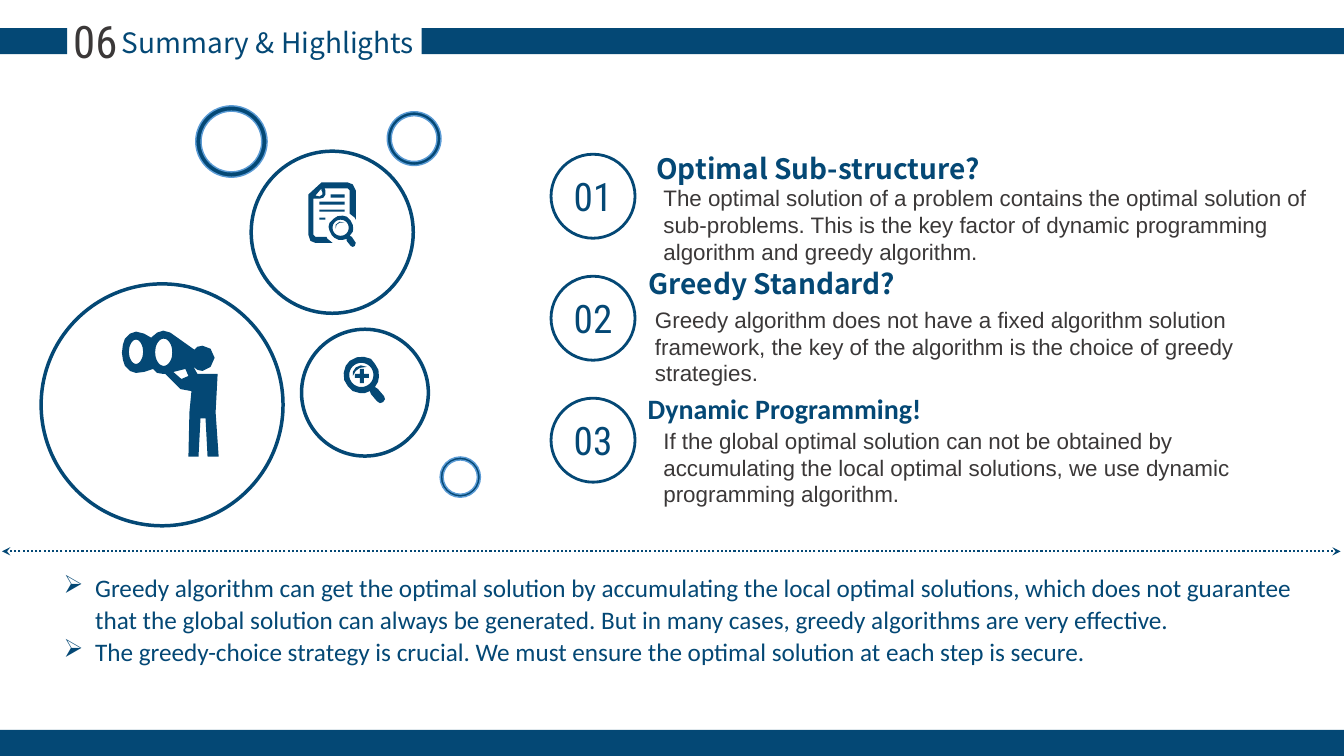
import dataclasses
import math

import pptx
import pptx.dml.color
import pptx.enum.dml
import pptx.enum.shapes
import pptx.enum.text
import pptx.oxml.ns
import pptx.shapes.autoshape
import pptx.slide
import pptx.util
from lxml import etree

COLUMNS, ROWS = 160, 90
CELL = pptx.util.Inches(7.5) // ROWS
NAVY, CHARCOAL, SKY = "044875", "3B3838", "5B9BD5"
CENTER = pptx.enum.text.PP_ALIGN.CENTER
LEFT = pptx.enum.text.PP_ALIGN.LEFT
PRESET = pptx.enum.shapes.MSO_SHAPE
Outline = list[tuple[float, float]]


@dataclasses.dataclass
class Box:
    column: float
    row: float
    columns: float
    rows: float

    def lengths(self) -> list[int]:
        return [round(value * CELL) for value in dataclasses.astuple(self)]


@dataclasses.dataclass
class Style:
    font: str
    size: float
    color: str = NAVY
    bold: bool = False
    align: pptx.enum.text.PP_ALIGN = LEFT
    spacing: float | None = None


@dataclasses.dataclass
class Topic:
    heading: str
    heading_box: Box
    heading_font: str
    body: str
    body_box: Box


@dataclasses.dataclass
class Icon:
    column: float
    row: float
    outlines: list[Outline]


def ellipse(x: float, y: float, radius_x: float, radius_y: float) -> Outline:
    angles = [math.tau * step / 32 for step in range(32)]
    return [(x + radius_x * math.cos(angle), y + radius_y * math.sin(angle)) for angle in angles]


def rectangle(left: float, top: float, right: float, bottom: float) -> Outline:
    return [(left, top), (right, top), (right, bottom), (left, bottom)]


WATCHER = Icon(14.52, 39.36, [
    [(41, 0), (35, 2), (29, 7), (22, 3), (14, 1), (8, 3), (3, 8), (1, 14), (0, 22), (1, 29), (3, 35),
     (8, 40), (14, 42), (22, 41), (31, 38), (35, 42), (41, 43), (43, 43), (58, 58), (69, 60), (67, 81),
     (66, 125), (76, 125), (78, 87), (83, 87), (85, 125), (96, 125), (93, 81), (95, 43), (75, 43),
     (71, 36), (75, 39), (80, 40), (88, 36), (92, 27), (88, 18), (80, 15), (75, 16), (72, 19), (48, 2)],
    [(66, 45), (59, 48), (51, 41), (63, 38)],
    ellipse(14, 21, 7, 12),
    ellipse(41.5, 21.5, 8.5, 13.5),
])
DOCUMENT = Icon(36.72, 21.72, [
    [(13, 0), (39, 0), (44, 2), (47, 8), (47, 37), (46, 35), (41, 31), (41, 8), (39, 6), (16, 6),
     (17, 8), (17, 12), (15, 15), (12, 16), (5, 16), (5, 52), (7, 54), (18, 54), (19, 56), (24, 60),
     (7, 60), (2, 58), (0, 52), (0, 12), (12, 1)],
    rectangle(11, 35, 17, 37),
    rectangle(11, 27, 36, 29),
    rectangle(11, 19, 36, 22),
    rectangle(22, 12, 36, 15),
    [(13, 6), (7, 13), (11, 14), (14, 12), (14, 10), (13, 8)],
    [(25, 36), (21, 40), (20, 44), (21, 48), (23, 52), (26, 55), (30, 57), (34, 57), (38, 56), (38, 58),
     (42, 63), (44, 64), (46, 63), (47, 60), (43, 54), (41, 53), (44, 49), (44.5, 46), (44, 42),
     (42, 38), (38, 34), (34, 33), (29, 33.5)],
    ellipse(32, 45, 8, 8),
    [(27, 46), (28, 42), (31, 40), (36, 40), (31, 39), (27, 42)],
])
ZOOM = Icon(40.8, 42.48, [
    [(7, 4), (14, 0.5), (21, 0), (28, 2), (32, 7), (35.5, 13), (36, 20), (35, 25), (32, 30), (35, 32),
     (41, 39), (42, 42), (40, 45), (37, 46), (34, 44), (28, 37), (27, 34), (22, 36), (17, 36),
     (10, 34), (5, 29), (1.5, 23), (1, 16), (3, 9)],
    ellipse(18.5, 18, 12, 12),
    [(17, 26), (21, 26), (21, 21), (26, 21), (26, 17), (21, 17), (21, 12), (17, 12), (17, 17),
     (12, 17), (12, 21), (17, 21)],
    [(10, 19), (13, 14), (17, 11), (24, 10), (18, 8.5), (13, 10.5), (10, 15)],
])
BARS = [Box(0, 3.36, 8, 3.1), Box(50.2, 3.36, 109.8, 3.1), Box(0, 86.88, COLUMNS, 3.12)]
RINGS = [Box(23.3, 12.6, 8.5, 8.5), Box(46.1, 13.3, 6.4, 6.4), Box(52.4, 54.4, 4.8, 4.8)]
BUBBLES = [Box(4.9, 33.8, 28.8, 28.8), Box(29.9, 18, 19.3, 19.3), Box(35.9, 39.2, 15.1, 15.1)]
TOPICS = [
    Topic("Optimal Sub-structure?", Box(75.1, 17.5, 44.6, 9.2), "Noto Sans CJK JP",
          "The optimal solution of a problem contains the optimal solution of sub-problems. "
          "This is the key factor of dynamic programming algorithm and greedy algorithm.",
          Box(77.8, 21.4, 79.4, 14)),
    Topic("Greedy Standard?", Box(69.6, 31.1, 44.6, 9.2), "Noto Sans CJK JP",
          "Greedy algorithm does not have a fixed algorithm solution framework, "
          "the key of the algorithm is the choice of greedy strategies.",
          Box(76.8, 35.9, 79.4, 14)),
    Topic("Dynamic Programming!", Box(73, 46, 40.8, 5.3), "Calibri",
          "If the global optimal solution can not be obtained by accumulating "
          "the local optimal solutions, we use dynamic programming algorithm.",
          Box(77.8, 50.3, 79.4, 10.8)),
]
CONCLUSIONS = [
    "Greedy algorithm can get the optimal solution by accumulating the local optimal solutions, which does not "
    "guarantee that the global solution can always be generated. But in many cases, greedy algorithms are very "
    "effective.",
    "The greedy-choice strategy is crucial. We must ensure the optimal solution at each step is secure.",
]


def rgb(color: str) -> pptx.dml.color.RGBColor:
    return pptx.dml.color.RGBColor.from_string(color)


def paint(shape: pptx.shapes.autoshape.Shape, fill: str | None, line: str | None = None, width: float = 1) -> None:
    shape.shadow.inherit = False
    if fill:
        shape.fill.solid()
        shape.fill.fore_color.rgb = rgb(fill)
    else:
        shape.fill.background()
    if line:
        shape.line.color.rgb = rgb(line)
        shape.line.width = pptx.util.Pt(width)
    else:
        shape.line.fill.background()


def add_text(slide: pptx.slide.Slide, box: Box, text: str, style: Style) -> pptx.shapes.autoshape.Shape:
    shape = slide.shapes.add_textbox(*box.lengths())
    shape.text_frame.word_wrap = True
    shape.text_frame.text = text
    for paragraph in shape.text_frame.paragraphs:
        paragraph.alignment = style.align
        if style.spacing:
            paragraph.line_spacing = pptx.util.Pt(style.spacing)
        font = paragraph.runs[0].font
        font.name, font.size, font.bold = style.font, pptx.util.Pt(style.size), style.bold
        font.color.rgb = rgb(style.color)
        properties = paragraph.runs[0].font._element
        etree.SubElement(properties, pptx.oxml.ns.qn("a:ea"), typeface=style.font)
    return shape


def add_icon(slide: pptx.slide.Slide, icon: Icon) -> None:
    step = 0.12 * CELL
    origin_x, origin_y = icon.column * CELL, icon.row * CELL
    outlines = [[(10 * x, 10 * y) for x, y in outline] for outline in icon.outlines]
    builder = slide.shapes.build_freeform(*outlines[0][0], scale=step / 10)
    for index, outline in enumerate(outlines):
        if index:
            builder.move_to(*outline[0])
        builder.add_line_segments(outline[1:], close=True)
    paint(builder.convert_to_shape(round(origin_x), round(origin_y)), NAVY)


def add_divider(slide: pptx.slide.Slide, row: float) -> None:
    ends = Box(159.6, row, 0.24, row).lengths()
    divider = slide.shapes.add_connector(pptx.enum.shapes.MSO_CONNECTOR.STRAIGHT, *ends)
    divider.line.color.rgb = rgb(NAVY)
    divider.line.width = pptx.util.Pt(1.5)
    divider.line.dash_style = pptx.enum.dml.MSO_LINE.ROUND_DOT
    outline = divider.line._get_or_add_ln()
    for end in ("a:headEnd", "a:tailEnd"):
        etree.SubElement(outline, pptx.oxml.ns.qn(end), type="stealth")
    etree.SubElement(divider._element.spPr, pptx.oxml.ns.qn("a:effectLst"))


def add_conclusions(slide: pptx.slide.Slide) -> None:
    shape = add_text(slide, Box(6.4, 67.3, 153.1, 12.8), "\n".join(CONCLUSIONS), Style("Calibri", 18, spacing=23))
    indent = round(3.75 * CELL)
    for paragraph in shape.text_frame.paragraphs:
        properties = paragraph._p.get_or_add_pPr()
        properties.set("marL", str(indent))
        properties.set("indent", str(-indent))
        etree.SubElement(properties, pptx.oxml.ns.qn("a:buChar"), char="➢")


def main() -> None:
    presentation = pptx.Presentation()
    presentation.slide_width, presentation.slide_height = COLUMNS * CELL, ROWS * CELL
    slide = presentation.slides.add_slide(presentation.slide_layouts[6])
    for bar in BARS:
        paint(slide.shapes.add_shape(PRESET.RECTANGLE, *bar.lengths()), NAVY)
    add_text(slide, Box(7.6, 2.4, 48.6, 10.9), "Summary & Highlights", Style("Noto Sans CJK SC", 20, align=CENTER))
    add_text(slide, Box(6.6, 1.1, 9.5, 7.7), "06", Style("Roboto Condensed", 32, CHARCOAL, align=CENTER))
    for ring in RINGS:
        shape = slide.shapes.add_shape(PRESET.DONUT, *ring.lengths())
        shape.adjustments[0] = 0.075
        paint(shape, NAVY, SKY)
    for bubble, icon in zip(BUBBLES, (WATCHER, DOCUMENT, ZOOM)):
        paint(slide.shapes.add_shape(PRESET.OVAL, *bubble.lengths()), None, NAVY, 2.5)
        add_icon(slide, icon)
    for index, topic in enumerate(TOPICS):
        row = 18.36 + 14.52 * index
        add_text(slide, Box(62.5, row + 1.6, 16.2, 6.8), f"{index + 1:02}", Style("Roboto Condensed", 28, align=CENTER))
        paint(slide.shapes.add_shape(PRESET.OVAL, *Box(65.6, row, 10, 10).lengths()), None, NAVY, 2)
        add_text(slide, topic.heading_box, topic.heading, Style(topic.heading_font, 20, bold=True, align=CENTER))
        add_text(slide, topic.body_box, topic.body, Style("Arial", 16, CHARCOAL, spacing=19))
    add_divider(slide, 65.64)
    add_conclusions(slide)
    presentation.save("out.pptx")


if __name__ == "__main__":
    main()
